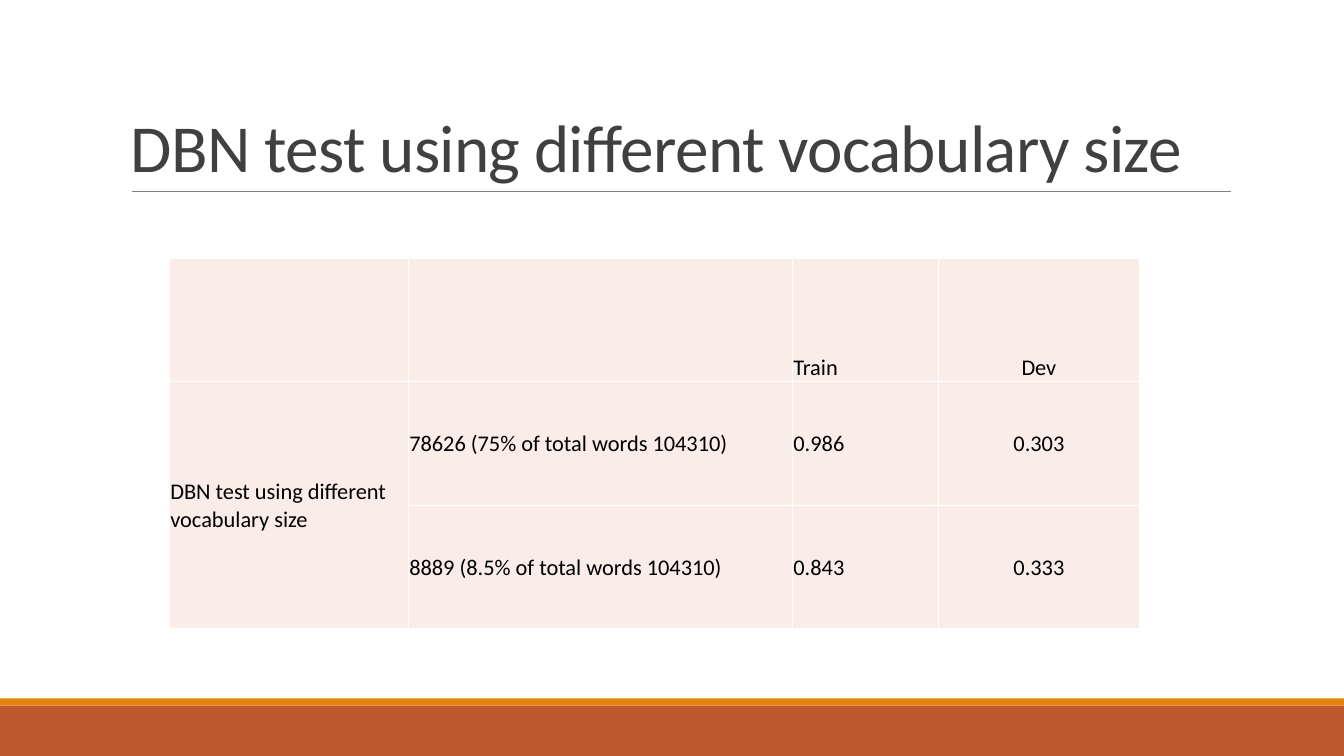
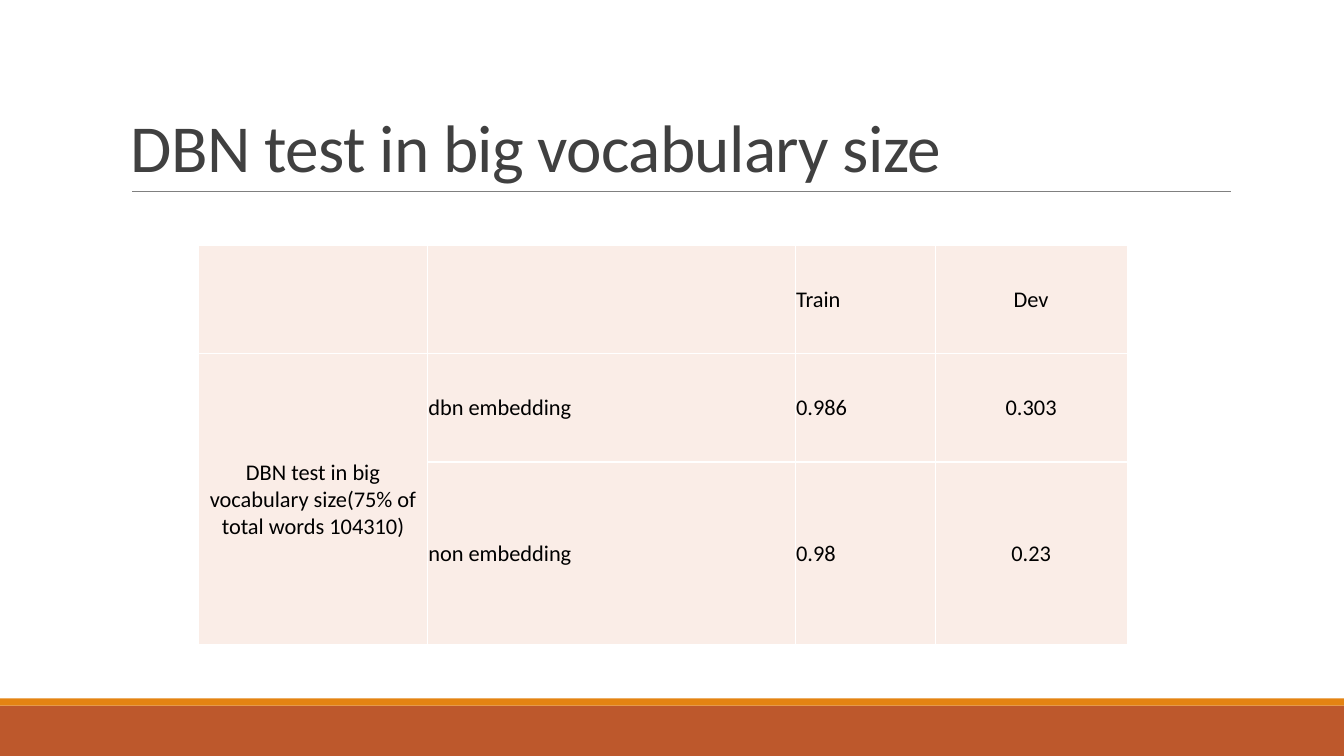
import dataclasses

import lxml.etree
import pptx
import pptx.dml.color
import pptx.enum.shapes
import pptx.enum.text
import pptx.oxml.ns
import pptx.util

Inches = pptx.util.Inches
Pt = pptx.util.Pt
qn = pptx.oxml.ns.qn
ALIGN = pptx.enum.text.PP_ALIGN
ANCHOR = pptx.enum.text.MSO_ANCHOR


@dataclasses.dataclass(frozen=True)
class Theme:
    font: str = "Calibri"
    title_size: float = 48
    cell_size: float = 16
    title: str = "404040"
    body: str = "000000"
    rule: str = "808080"
    footer: str = "BD582C"
    accent: str = "E48312"
    cell: str = "FAEDE7"
    border: str = "FFFFFF"


THEME = Theme()
SLIDE_WIDTH, SLIDE_HEIGHT = 13.33, 7.5
FOOTER_TOP = 7.0
ACCENT_HEIGHT = 0.07
RULE_Y = 1.9
TITLE_BOX = (1.2, 0.31, 11, RULE_Y - 0.31)
COLUMN_SHARES = (2.37, 3.81, 1.45, 1.99)


def rgb(value):
    return pptx.dml.color.RGBColor.from_string(value)


def write(frame, text, *, size, color, align=ALIGN.LEFT, line_spacing=None, tracking=None):
    """Put one formatted paragraph in a text frame; tracking is in points."""
    frame.word_wrap = True
    paragraph = frame.paragraphs[0]
    paragraph.alignment = align
    if line_spacing:
        paragraph.line_spacing = line_spacing
    run = paragraph.add_run()
    run.text = text
    run.font.name = THEME.font
    run.font.size = Pt(size)
    run.font.color.rgb = rgb(color)
    if tracking:
        run._r.get_or_add_rPr().set("spc", str(round(tracking * 100)))


def add_band(slide, top, height, color):
    band = slide.shapes.add_shape(
        pptx.enum.shapes.MSO_SHAPE.RECTANGLE,
        0, Inches(top), Inches(SLIDE_WIDTH), Inches(height))
    band.shadow.inherit = False
    band.fill.solid()
    band.fill.fore_color.rgb = rgb(color)
    band.line.fill.background()


def add_title_rule(slide):
    rule = slide.shapes.add_connector(
        pptx.enum.shapes.MSO_CONNECTOR.STRAIGHT,
        Inches(1.31), Inches(RULE_Y), Inches(12.21), Inches(RULE_Y))
    rule.line.color.rgb = rgb(THEME.rule)
    rule.line.width = Pt(0.5)
    lxml.etree.SubElement(rule._element.spPr, qn("a:effectLst"))


def add_titled_slide(deck, title):
    slide = deck.slides.add_slide(deck.slide_layouts[6])
    add_band(slide, FOOTER_TOP, SLIDE_HEIGHT - FOOTER_TOP, THEME.footer)
    add_band(slide, FOOTER_TOP - ACCENT_HEIGHT, ACCENT_HEIGHT, THEME.accent)
    add_title_rule(slide)
    frame = slide.shapes.add_textbox(*map(Inches, TITLE_BOX)).text_frame
    frame.vertical_anchor = ANCHOR.BOTTOM
    write(frame, title, size=THEME.title_size, color=THEME.title,
          line_spacing=0.85, tracking=-0.5)
    return slide


def add_borders(cell):
    properties = cell._tc.get_or_add_tcPr()
    for index, side in enumerate(("a:lnL", "a:lnR", "a:lnT", "a:lnB")):
        line = lxml.etree.Element(qn(side), w=str(Pt(1)))
        fill = lxml.etree.SubElement(line, qn("a:solidFill"))
        lxml.etree.SubElement(fill, qn("a:srgbClr"), val=THEME.border)
        properties.insert(index, line)


def share_out(tracks, attribute, total, shares):
    """Divide a length among table columns or rows."""
    for track, share in zip(tracks, shares):
        setattr(track, attribute, Inches(total * share / sum(shares)))


def add_results_table(slide, box, row_shares, group, results, *,
                      header_anchor=ANCHOR.MIDDLE, group_align=ALIGN.LEFT):
    """Add train and dev scores, with one group label beside all result rows."""
    rows = [("", "", "Train", "Dev")]
    rows += [("" if index else group, *result) for index, result in enumerate(results)]
    table = slide.shapes.add_table(
        len(rows), len(COLUMN_SHARES), *map(Inches, box)).table
    table.first_row = table.horz_banding = False
    share_out(table.columns, "width", box[2], COLUMN_SHARES)
    share_out(table.rows, "height", box[3], row_shares)
    table.cell(1, 0).merge(table.cell(len(rows) - 1, 0))

    aligns = (group_align, ALIGN.LEFT, ALIGN.LEFT, ALIGN.CENTER)
    for row_index, row in enumerate(rows):
        for column_index, text in enumerate(row):
            cell = table.cell(row_index, column_index)
            cell.fill.solid()
            cell.fill.fore_color.rgb = rgb(THEME.cell)
            if cell.is_spanned:
                continue
            add_borders(cell)
            if text:
                cell.margin_left = cell.margin_right = cell.margin_top = Inches(0.01)
                cell.margin_bottom = 0
                cell.vertical_anchor = ANCHOR.MIDDLE if row_index else header_anchor
                write(cell.text_frame, text, size=THEME.cell_size,
                      color=THEME.body, align=aligns[column_index])


def main():
    deck = pptx.Presentation()
    deck.slide_width = Inches(SLIDE_WIDTH)
    deck.slide_height = Inches(SLIDE_HEIGHT)

    size_title = "DBN test using different vocabulary size"
    add_results_table(
        add_titled_slide(deck, size_title),
        (1.68, 2.56, 9.62, 3.68), (1, 1, 1), size_title,
        [("78626 (75% of total words 104310)", "0.986", "0.303"),
         ("8889 (8.5% of total words 104310)", "0.843", "0.333")],
        header_anchor=ANCHOR.BOTTOM)

    big_title = "DBN test in big vocabulary size"
    add_results_table(
        add_titled_slide(deck, big_title),
        (1.97, 2.43, 9.21, 3.97), (1.08, 1.08, 1.82),
        big_title + "(75% of total words 104310)",
        [("dbn embedding", "0.986", "0.303"),
         ("non embedding", "0.98", "0.23")],
        group_align=ALIGN.CENTER)

    deck.save("out.pptx")


if __name__ == "__main__":
    main()
